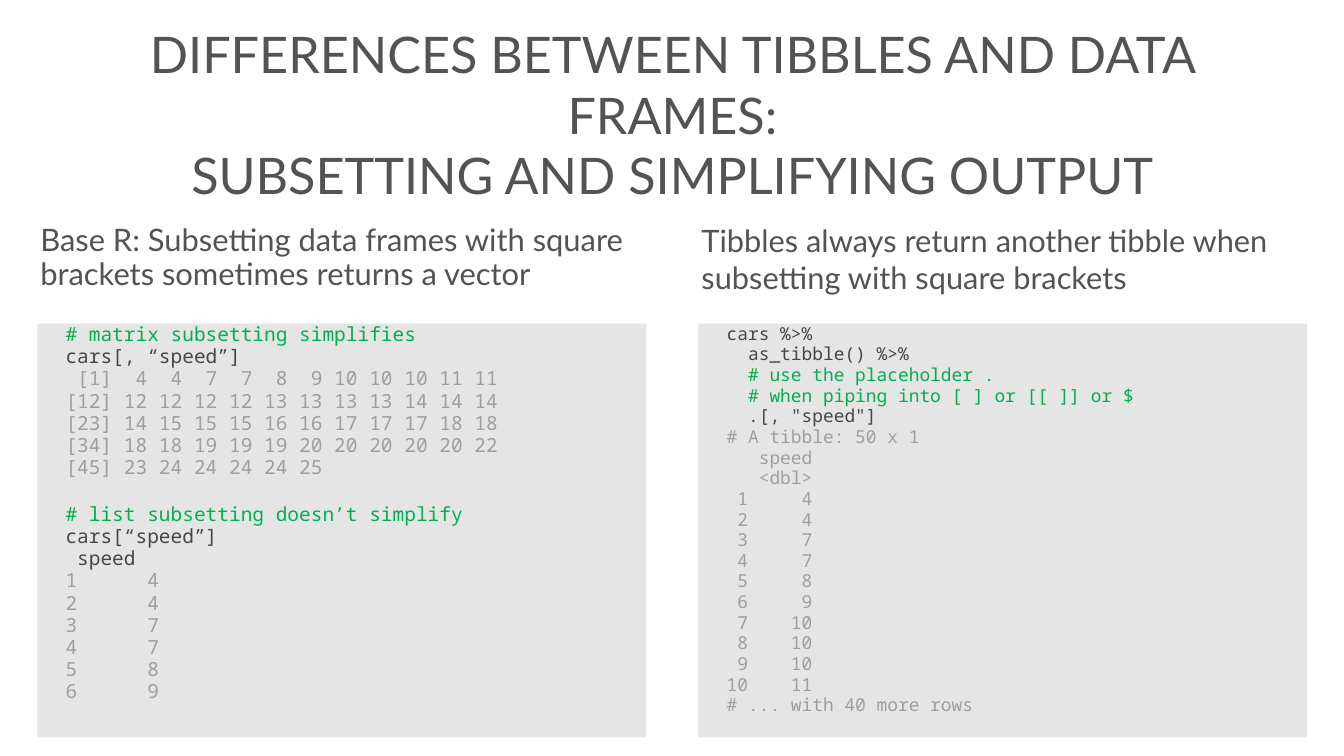
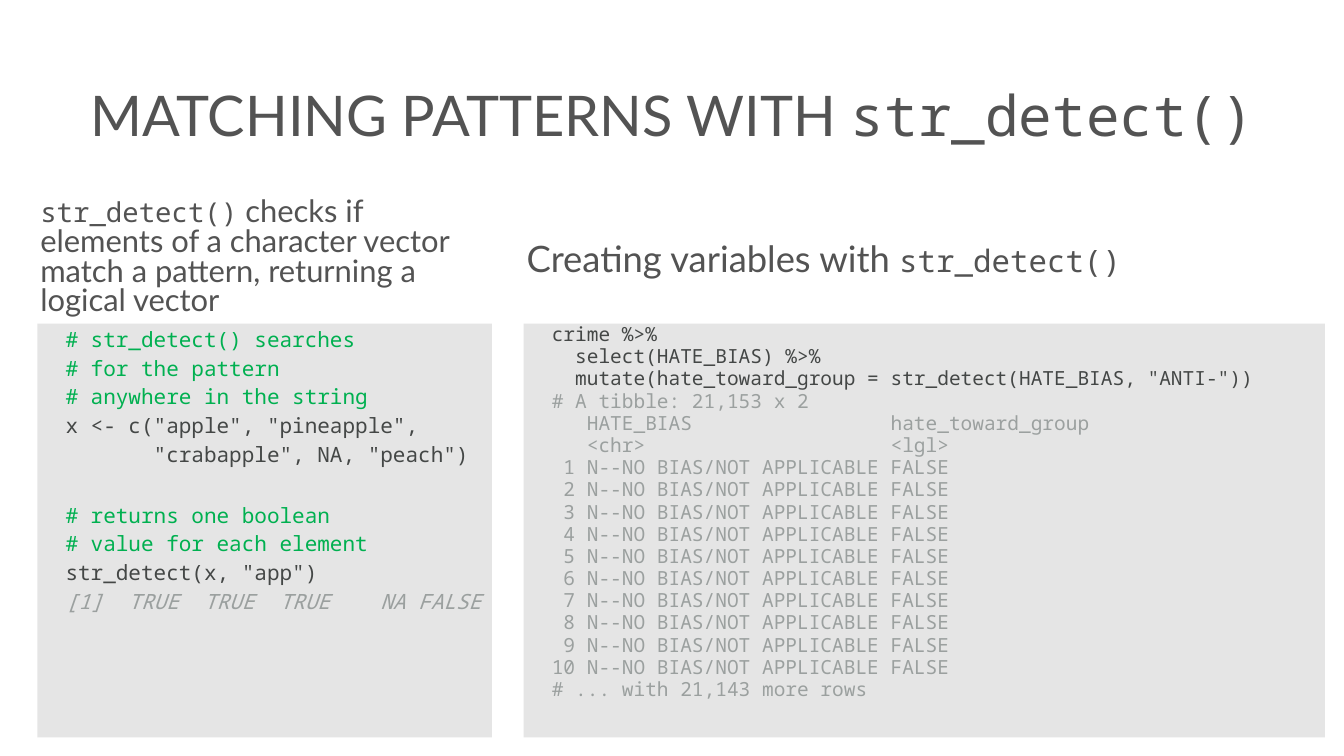
from pptx import Presentation
from pptx.dml.color import RGBColor
from pptx.enum.shapes import MSO_SHAPE
from pptx.enum.text import MSO_ANCHOR, MSO_AUTO_SIZE, PP_ALIGN
from pptx.util import Inches, Pt

RECT = MSO_SHAPE.RECTANGLE
TOP, MIDDLE = MSO_ANCHOR.TOP, MSO_ANCHOR.MIDDLE
LEFT, CENTER = PP_ALIGN.LEFT, PP_ALIGN.CENTER
NO_FIT = MSO_AUTO_SIZE.NONE

COLORS = {"text": "535353", "panel": "E5E5E5", "comment": "00B050",
          "code": "444746", "output": "9BA09F"}
SANS, MONO = "Lato", "Noto Sans Mono"

# Grid in inches: one left margin, three rows
MARGIN, TITLE_W = 0.74, 25.21
TITLE_ROW, LEAD_ROW, CODE_ROW = (0.39, 3.75), (4.19, 1.87), (6.42, 8.21)
INSET, CODE_INDENT, CODE_GAP = 0.06, 0.5, 5
MONO_LINE = 1.36  # line height of the code font, in ems

crime_rows = "\n".join(f"{n:>2} N--NO BIAS/NOT APPLICABLE FALSE" for n in range(1, 11))

# Runs are (text, font, size); code blocks are (kind, lines)
SLIDES = [
    {
        "title": [("DIFFERENCES BETWEEN TIBBLES AND DATA FRAMES:\n"
                   "SUBSETTING AND SIMPLIFYING OUTPUT", SANS, 72)],
        "columns": [
            {
                "left": MARGIN, "lead_w": 12.08, "code_w": 12.08,
                "lead": [("Base R: Subsetting data frames with square brackets "
                          "sometimes returns a vector", SANS, 44.2)],
                "lead_spacing": 0.9, "size": 27.8, "spacing": 0.8,
                "code": [
                    ("comment", "# matrix subsetting simplifies"),
                    ("code", "cars[, “speed”]"),
                    ("output", """ [1]  4  4  7  7  8  9 10 10 10 11 11
[12] 12 12 12 12 13 13 13 13 14 14 14
[23] 14 15 15 15 16 16 17 17 17 18 18
[34] 18 18 19 19 19 20 20 20 20 20 22
[45] 23 24 24 24 24 25
"""),
                    ("comment", "# list subsetting doesn’t simplify"),
                    ("code", "cars[“speed”]\n speed"),
                    ("output", """1      4
2      4
3      7
4      7
5      8
6      9"""),
                ],
            },
            {
                "left": 13.86, "lead_w": 12.08, "code_w": 12.08,
                "lead": [("Tibbles always return another tibble when subsetting "
                          "with square brackets", SANS, 44)],
                "lead_spacing": 1.0, "size": 25.5, "spacing": 0.8,
                "code": [
                    ("code", "cars %>%\n  as_tibble() %>%"),
                    ("comment", "  # use the placeholder .\n"
                                "  # when piping into [ ] or [[ ]] or $"),
                    ("code", '  .[, "speed"]'),
                    ("output", """# A tibble: 50 x 1
   speed
   <dbl>
 1     4
 2     4
 3     7
 4     7
 5     8
 6     9
 7    10
 8    10
 9    10
10    11
# ... with 40 more rows"""),
                ],
            },
        ],
    },
    {
        "title": [("MATCHING PATTERNS WITH ", SANS, 80), ("str_detect()", MONO, 80)],
        "columns": [
            {
                "left": MARGIN, "lead_w": 9.02, "code_w": 9.02,
                "lead": [("str_detect()", MONO, 39.1),
                         (" checks if elements of a character vector match a pattern, "
                          "returning a logical vector", SANS, 44.2)],
                "lead_spacing": 0.8, "size": 30, "spacing": 1.0,
                "code": [
                    ("comment", """# str_detect() searches
# for the pattern
# anywhere in the string"""),
                    ("code", """x <- c("apple", "pineapple",
       "crabapple", NA, "peach")
"""),
                    ("comment", "# returns one boolean\n# value for each element"),
                    ("code", 'str_detect(x, "app")'),
                    ("italic output", "[1]  TRUE  TRUE  TRUE    NA FALSE"),
                ],
            },
            {
                "left": 10.39, "lead_w": 15.56, "code_w": 15.9,
                "lead": [("Creating variables with ", SANS, 52),
                         ("str_detect()", MONO, 44)],
                "lead_spacing": 1.0, "size": 27.8, "spacing": 0.8,
                "code": [
                    ("code", """crime %>%
  select(HATE_BIAS) %>%
  mutate(hate_toward_group = str_detect(HATE_BIAS, "ANTI-"))"""),
                    ("output", f"""# A tibble: 21,153 x 2
   HATE_BIAS                 hate_toward_group
   <chr>                     <lgl>
{crime_rows}
# ... with 21,143 more rows"""),
                ],
            },
        ],
    },
]


def add_text(p, text, font=SANS, size=44, color="text", italic=False):
    """Append text to a paragraph, turning newlines into line breaks."""
    for i, line in enumerate(text.split("\n")):
        if i:
            p.add_line_break()
        r = p.add_run()
        r.text = line
        r.font.name, r.font.size, r.font.italic = font, Pt(size), italic
        r.font.bold = False
        r.font.color.rgb = RGBColor.from_string(COLORS[color])


def place(sp, left, row, width, anchor):
    """Put a shape on the grid and return its prepared text frame."""
    sp.left, sp.width = Inches(left), Inches(width)
    sp.top, sp.height = Inches(row[0]), Inches(row[1])
    tf = sp.text_frame
    tf.word_wrap, tf.auto_size, tf.vertical_anchor = True, NO_FIT, anchor
    tf.margin_left = tf.margin_right = Inches(INSET)
    tf.margin_top = tf.margin_bottom = Inches(INSET)
    return tf


prs = Presentation()
prs.slide_width, prs.slide_height = Inches(26.67), Inches(15)

for content in SLIDES:
    s = prs.slides.add_slide(prs.slide_layouts[5])
    p = place(s.shapes.title, MARGIN, TITLE_ROW, TITLE_W, MIDDLE).paragraphs[0]
    p.alignment = CENTER
    for text, font, size in content["title"]:
        add_text(p, text, font=font, size=size)

    for col in content["columns"]:
        lead = s.shapes.add_textbox(0, 0, 0, 0)
        p = place(lead, col["left"], LEAD_ROW, col["lead_w"], MIDDLE).paragraphs[0]
        p.line_spacing = col["lead_spacing"]
        for text, font, size in col["lead"]:
            add_text(p, text, font=font, size=size)

        panel = s.shapes.add_shape(RECT, 0, 0, 0, 0)
        panel.shadow.inherit = False
        panel.fill.solid()
        panel.fill.fore_color.rgb = RGBColor.from_string(COLORS["panel"])
        panel.line.fill.background()
        tf = place(panel, col["left"], CODE_ROW, col["code_w"], TOP)

        p, gap = tf.paragraphs[0], 0
        for kind, lines in col["code"]:
            for line in lines.split("\n"):
                if not line:  # an empty code line becomes space before the next one
                    gap += CODE_GAP + round(col["size"] * MONO_LINE * col["spacing"])
                    continue
                p = p if gap == 0 else tf.add_paragraph()
                p.alignment, p.line_spacing, p.space_before = LEFT, col["spacing"], Pt(gap)
                p._p.get_or_add_pPr().set("indent", str(Inches(CODE_INDENT)))
                add_text(p, line, font=MONO, size=col["size"], color=kind.split()[-1],
                         italic=kind.startswith("italic"))
                gap = CODE_GAP

prs.save("out.pptx")
